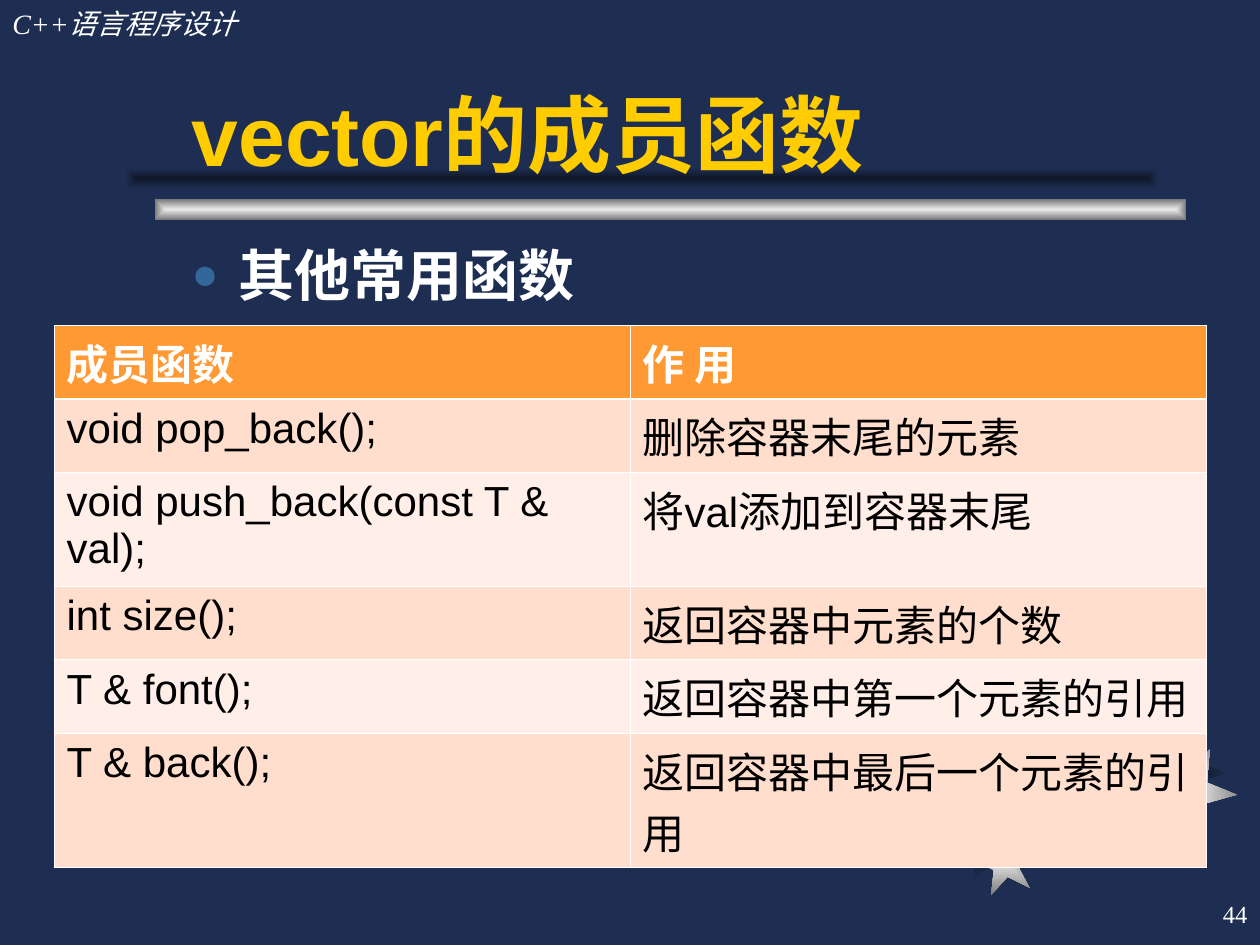
from lxml import etree
from pptx import Presentation
from pptx.dml.color import RGBColor
from pptx.enum import shapes, text
from pptx.oxml.ns import qn
from pptx.util import Cm, Pt

COLORS = {
    "bg": "1E2E53", "shade": "0F1729", "light": "EAEAEA", "grey": "757575",
    "white": "FFFFFF", "black": "000000", "title": "FFCC00", "bullet": "336699",
    "head": "FF9933", "band1": "FFDECD", "band2": "FFEFE8",
}
SHADOW = ("shade", "bg")
METAL = ("light", "grey")

# left, top, size, rotation
STARS = {
    SHADOW: [(19.25, 16.43, 1.27, -11), (21.36, 14.86, 1.17, 0), (23.01, 14.61, 1.7, 22)],
    METAL: [(19.61, 16.71, 1.27, -11), (21.56, 15.09, 1.17, 0), (23.22, 15.04, 1.7, 22)],
}
ROWS = [
    ("成员函数", "作 用"),
    ("void pop_back();", "删除容器末尾的元素"),
    ("void push_back(const T & val);", "将val添加到容器末尾"),
    ("int size();", "返回容器中元素的个数"),
    ("T & font();", "返回容器中第一个元素的引用"),
    ("T & back();", "返回容器中最后一个元素的引用"),
]
ROW_HEIGHTS = [1.27, 1.27, 2.29, 1.27, 1.27, 2.29]


def rgb(name):
    return RGBColor.from_string(COLORS[name])


def sub(parent, tag, **attrs):
    return etree.SubElement(parent, qn(tag), **attrs)


def add_glow_shape(slide, kind, box, tones, rotation=0):
    """Borderless preset shape shaded from its centre to its edges."""
    sp = slide.shapes.add_shape(kind, *map(Cm, box))
    sp.rotation = rotation
    sp.shadow.inherit = False
    sp.line.fill.background()
    sp.fill.gradient()
    for stop, tone in zip(sp.fill.gradient_stops, tones):
        stop.color.rgb = rgb(tone)
    grad = sp._element.spPr.find(qn("a:gradFill"))
    grad.remove(grad.find(qn("a:lin")))
    path = sub(grad, "a:path", path="rect")
    sub(path, "a:fillToRect", l="50000", t="50000", r="50000", b="50000")


def write(tf, words, size, color, font="Arial", bold=False, italic=False,
          align=text.PP_ALIGN.LEFT, before=0):
    tf.text = words
    p = tf.paragraphs[0]
    p.alignment = align
    p.space_before = Pt(before)
    f = p.font
    f.name, f.size, f.bold, f.italic = font, Pt(size), bold, italic
    f.color.rgb = rgb(color)
    return p


def place(sp, box, anchor, wrap=True):
    sp.left, sp.top, sp.width, sp.height = map(Cm, box)
    tf = sp.text_frame
    tf.word_wrap = wrap
    tf.auto_size = text.MSO_AUTO_SIZE.NONE
    tf.vertical_anchor = anchor
    return tf


def add_label(slide, box, anchor, words, size, wrap=True, **style):
    sp = slide.shapes.add_textbox(0, 0, 0, 0)
    write(place(sp, box, anchor, wrap), words, size, "white",
          font="Times New Roman", **style)


def set_bullet(p, char, color, percent, indent):
    pPr = p._p.get_or_add_pPr()
    pPr.set("marL", str(Cm(indent)))
    pPr.set("indent", str(-Cm(indent)))
    bullet = [etree.Element(qn(tag)) for tag in ("a:buClr", "a:buSzPct", "a:buChar")]
    sub(bullet[0], "a:srgbClr", val=COLORS[color])
    bullet[1].set("val", str(percent * 1000))
    bullet[2].set("char", char)
    defaults = pPr.find(qn("a:defRPr"))
    for el in bullet:
        defaults.addprevious(el)


def set_borders(cell, widths):
    tcPr = cell._tc.get_or_add_tcPr()
    for side, width in zip("LRTB", widths):
        ln = sub(tcPr, f"a:ln{side}", w=str(Pt(width)))
        sub(sub(ln, "a:solidFill"), "a:srgbClr", val=COLORS["white"])


def add_function_table(slide):
    frame = slide.shapes.add_table(len(ROWS), 2, Cm(1.09), Cm(6.56),
                                   Cm(23.22), Cm(sum(ROW_HEIGHTS)))
    table = frame.table
    for i, (row, height) in enumerate(zip(ROWS, ROW_HEIGHTS)):
        table.rows[i].height = Cm(height)
        head = i == 0
        fill = "head" if head else ("band1" if i % 2 else "band2")
        for j, words in enumerate(row):
            cell = table.cell(i, j)
            write(cell.text_frame, words, 24, "white" if head else "black", bold=head)
            # Heavier rule between the header and the first row
            set_borders(cell, (0.45, 0.45, 1.47 if i == 1 else 0.45, 1.47 if head else 0.45))
            cell.fill.solid()
            cell.fill.fore_color.rgb = rgb(fill)


def main():
    prs = Presentation()
    prs.slide_width, prs.slide_height = Cm(25.4), Cm(19.05)
    slide = prs.slides.add_slide(prs.slide_layouts[1])
    slide.background.fill.solid()
    slide.background.fill.fore_color.rgb = rgb("bg")
    title, body = slide.placeholders

    # Decoration: stars and title bar
    for tones, stars in STARS.items():
        for left, top, size, rotation in stars:
            add_glow_shape(slide, shapes.MSO_SHAPE.STAR_5_POINT,
                           (left, top, size, size), tones, rotation)
    for left, top, tones in ((3.12, 4.01, METAL), (2.54, 3.38, SHADOW)):
        add_glow_shape(slide, shapes.MSO_SHAPE.RECTANGLE, (left, top, 20.8, 0.43), tones)

    # Course name
    add_label(slide, (0, 0, 7.82, 0.94), text.MSO_ANCHOR.TOP, "C++语言程序设计", 16,
              italic=True, before=10)

    # Title and list, brought in front of the decoration
    for sp in (title, body):
        slide.shapes._spTree.append(sp._element)
    write(place(title, (3.61, 0.64, 19.89, 3.18), text.MSO_ANCHOR.BOTTOM),
          "vector的成员函数", 48, "title", bold=True)
    p = write(place(body, (3.61, 4.72, 20.12, 1.83), text.MSO_ANCHOR.TOP),
              "其他常用函数", 32, "white", bold=True, before=8)
    set_bullet(p, "●", "bullet", 80, 0.95)

    # Page number
    add_label(slide, (20.12, 17.78, 5.28, 1.27), text.MSO_ANCHOR.MIDDLE, "44", 14,
              wrap=False, align=text.PP_ALIGN.RIGHT)

    add_function_table(slide)
    prs.save("out.pptx")


if __name__ == "__main__":
    main()
